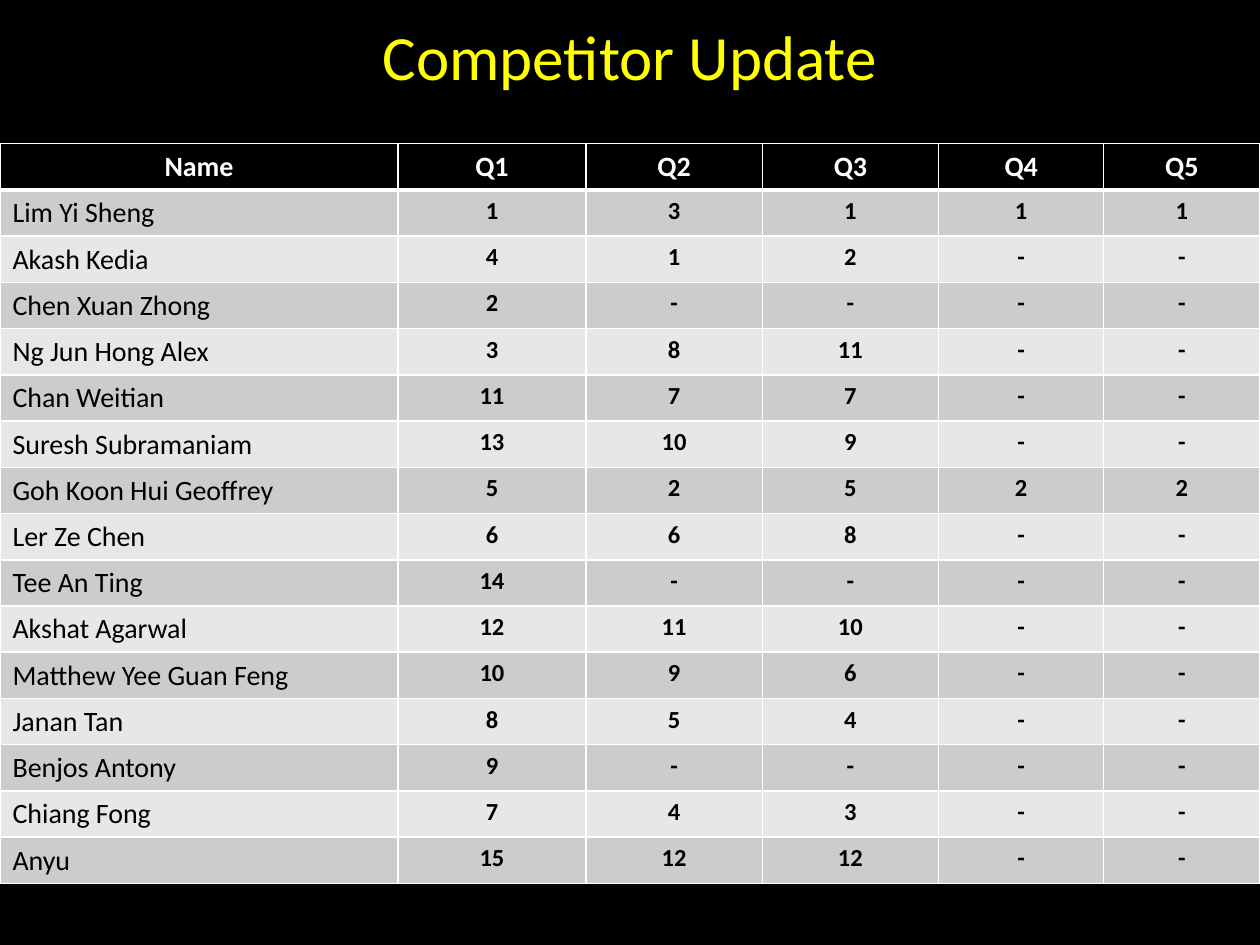
"""Build the Competitor Update slide with its table of quarterly ranks."""
import lxml.etree
import pptx
import pptx.dml.color
import pptx.enum.text
import pptx.oxml.ns
import pptx.util

TITLE = "Competitor Update"
HEADER = ["Name", "Q1", "Q2", "Q3", "Q4", "Q5"]
COMPETITORS = [
    ("Lim Yi Sheng", "1", "3", "1", "1", "1"),
    ("Akash Kedia", "4", "1", "2", "-", "-"),
    ("Chen Xuan Zhong", "2", "-", "-", "-", "-"),
    ("Ng Jun Hong Alex", "3", "8", "11", "-", "-"),
    ("Chan Weitian", "11", "7", "7", "-", "-"),
    ("Suresh Subramaniam", "13", "10", "9", "-", "-"),
    ("Goh Koon Hui Geoffrey", "5", "2", "5", "2", "2"),
    ("Ler Ze Chen", "6", "6", "8", "-", "-"),
    ("Tee An Ting", "14", "-", "-", "-", "-"),
    ("Akshat Agarwal", "12", "11", "10", "-", "-"),
    ("Matthew Yee Guan Feng", "10", "9", "6", "-", "-"),
    ("Janan Tan", "8", "5", "4", "-", "-"),
    ("Benjos Antony", "9", "-", "-", "-", "-"),
    ("Chiang Fong", "7", "4", "3", "-", "-"),
    ("Anyu", "15", "12", "12", "-", "-"),
]
COLUMN_WIDTHS = [3.16, 1.49, 1.4, 1.4, 1.31, 1.24]
FONT = "Calibri"
COLORS = {
    "background": "000000",
    "title": "FFFF00",
    "header_text": "FFFFFF",
    "body_text": "000000",
    "header": "000000",
    "odd_row": "CCCCCC",
    "even_row": "E7E7E7",
    "border": "FFFFFF",
}

Inches = pptx.util.Inches
ALIGN = pptx.enum.text.PP_ALIGN


def rgb(name):
    """Return the named colour."""
    return pptx.dml.color.RGBColor.from_string(COLORS[name])


def write(text_frame, text, size, color, bold=False, align=ALIGN.CENTER):
    """Put one formatted paragraph in a text frame."""
    text_frame.text = text
    paragraph = text_frame.paragraphs[0]
    paragraph.alignment = align
    font = paragraph.runs[0].font
    font.name, font.size, font.bold = FONT, pptx.util.Pt(size), bold
    font.color.rgb = rgb(color)


def set_borders(cell, top, bottom):
    """Draw the four cell borders, with top and bottom widths in points."""
    properties = cell._tc.get_or_add_tcPr()
    qn = pptx.oxml.ns.qn
    widths = {"a:lnL": 1, "a:lnR": 1, "a:lnT": top, "a:lnB": bottom}
    for position, (tag, width) in enumerate(widths.items()):
        line = lxml.etree.Element(qn(tag), w=str(pptx.util.Pt(width)))
        fill = lxml.etree.SubElement(line, qn("a:solidFill"))
        lxml.etree.SubElement(fill, qn("a:srgbClr"), val=COLORS["border"])
        properties.insert(position, line)


def add_title(slide):
    """Add the centred slide title."""
    box = slide.shapes.add_textbox(Inches(0.5), Inches(-0.19), Inches(9), Inches(1.25))
    box.text_frame.word_wrap = True
    box.text_frame.vertical_anchor = pptx.enum.text.MSO_ANCHOR.MIDDLE
    write(box.text_frame, TITLE, 36, "title")


def add_rank_table(slide):
    """Add the banded table of competitors."""
    rows = [HEADER, *COMPETITORS]
    table = slide.shapes.add_table(
        len(rows), len(HEADER), Inches(0), Inches(1.14), Inches(10), Inches(5.87)
    ).table
    for column, width in zip(table.columns, COLUMN_WIDTHS):
        column.width = Inches(width)
    for row_index, row in enumerate(rows):
        is_header = row_index == 0
        band = "header" if is_header else "odd_row" if row_index % 2 else "even_row"
        for column_index, text in enumerate(row):
            cell = table.cell(row_index, column_index)
            is_name = column_index == 0 and not is_header
            write(
                cell.text_frame,
                text,
                16 if is_header or is_name else 14,
                "header_text" if is_header else "body_text",
                not is_name,
                ALIGN.LEFT if is_name else ALIGN.CENTER,
            )
            cell.fill.solid()
            cell.fill.fore_color.rgb = rgb(band)
            set_borders(cell, 3 if row_index == 1 else 1, 3 if is_header else 1)


def main():
    """Create and save the presentation."""
    presentation = pptx.Presentation()
    presentation.slide_width, presentation.slide_height = Inches(10), Inches(7.5)
    slide = presentation.slides.add_slide(presentation.slide_layouts[6])
    slide.background.fill.solid()
    slide.background.fill.fore_color.rgb = rgb("background")
    add_title(slide)
    add_rank_table(slide)
    presentation.save("out.pptx")


if __name__ == "__main__":
    main()
